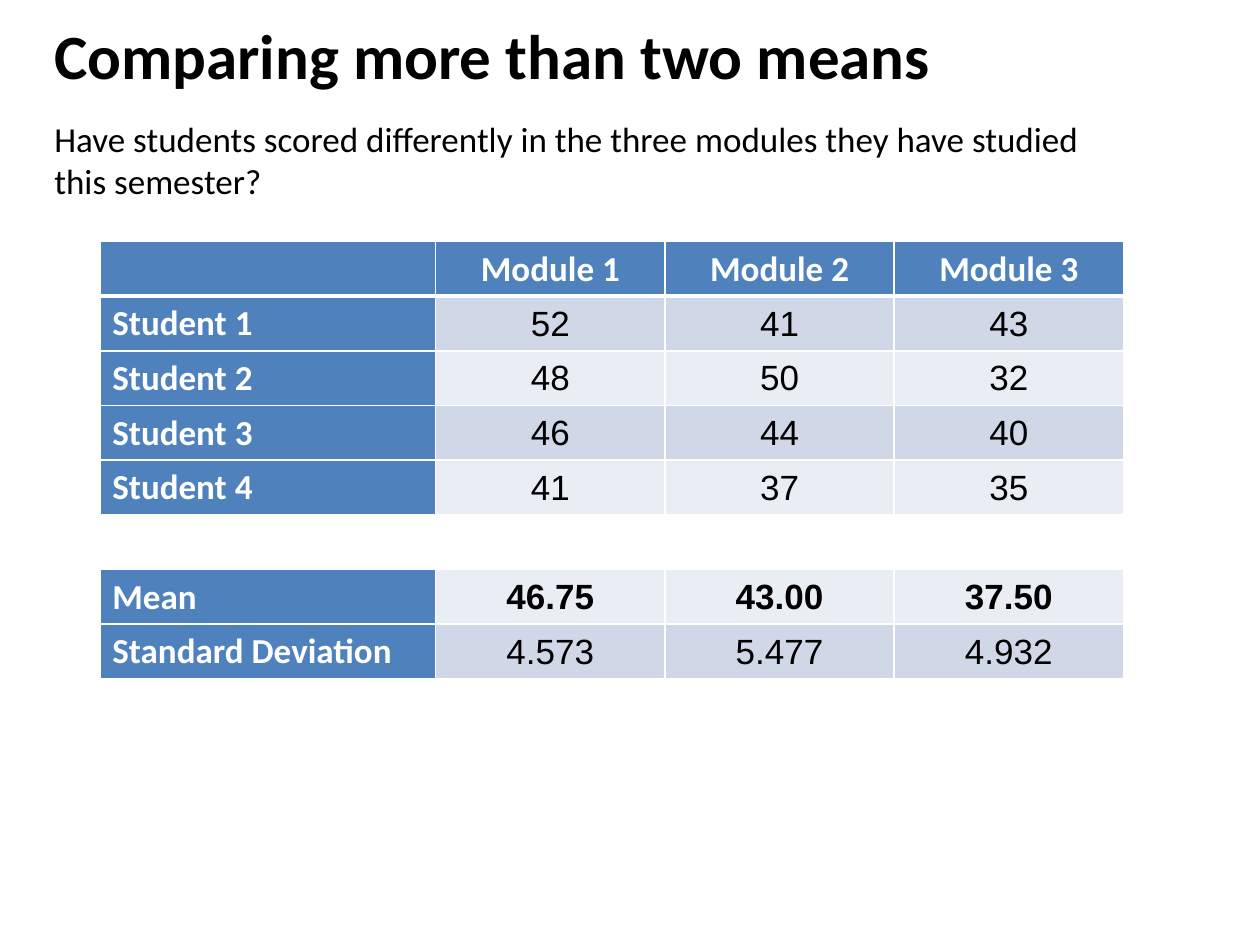
"""Build a slide comparing student marks across three modules."""
from lxml.etree import SubElement
from pptx import Presentation
from pptx.dml.color import RGBColor as RGB
from pptx.enum.text import MSO_ANCHOR as ANCHOR, PP_ALIGN as ALIGN
from pptx.oxml.ns import qn
from pptx.util import Pt

COLORS = {"text": "000000", "white": "FFFFFF", "head": "4F81BD",
          "dark": "D0D8E8", "light": "E9EDF4"}
ROWS = [
    ["", "Module 1", "Module 2", "Module 3"],
    ["Student 1", "52", "41", "43"],
    ["Student 2", "48", "50", "32"],
    ["Student 3", "46", "44", "40"],
    ["Student 4", "41", "37", "35"],
    ["", "", "", ""],
    ["Mean", "46.75", "43.00", "37.50"],
    ["Standard Deviation", "4.573", "5.477", "4.932"],
]
BLANK_ROW, MEAN_ROW = 5, 6


def style(p, size, name, color, bold):
    p.font.size = Pt(size)
    p.font.name = name
    p.font.bold = bold
    p.font.color.rgb = RGB.from_string(COLORS[color])


def add_border(cell, side, width):
    ln = SubElement(cell._tc.get_or_add_tcPr(), qn(f"a:ln{side}"), w=str(Pt(width)))
    fill = SubElement(ln, qn("a:solidFill"))
    SubElement(fill, qn("a:srgbClr"), val=COLORS["white"])


prs = Presentation()
prs.slide_width, prs.slide_height = Pt(720), Pt(540)
s = prs.slides.add_slide(prs.slide_layouts[6])

for text, top, width, height, size, bold in [
    ("Comparing more than two means", 6, 648, 90, 36, True),
    ("Have students scored differently in the three modules they have studied "
     "this semester?", 63.5, 621, 55.5, 20, False),
]:
    tf = s.shapes.add_textbox(Pt(24), Pt(top), Pt(width), Pt(height)).text_frame
    tf.word_wrap = True
    p = tf.paragraphs[0]
    p.text = text
    style(p, size, "Calibri", "text", bold)

table = s.shapes.add_table(len(ROWS), 4, Pt(57), Pt(138), Pt(585), Pt(249.6)).table
table.horz_banding = False
table.first_row = False
for c, width in enumerate([192, 131, 131, 131]):
    table.columns[c].width = Pt(width)

for r, row in enumerate(ROWS):
    table.rows[r].height = Pt(31.2)
    for c, text in enumerate(row):
        cell = table.cell(r, c)
        p = cell.text_frame.paragraphs[0]
        p.text = text
        is_head = r == 0 or c == 0
        if is_head:
            style(p, 20, "Calibri", "white", True)
        else:
            style(p, 20, "Arial", "text", r == MEAN_ROW)
            cell.vertical_anchor = ANCHOR.MIDDLE
            cell.margin_left = cell.margin_right = cell.margin_top = Pt(0.75)
            cell.margin_bottom = Pt(0)
        if c > 0:
            p.alignment = ALIGN.CENTER
        if r == BLANK_ROW:
            cell.fill.background()
            continue
        for side, border in [("L", 1), ("R", 1), ("T", 3 if r == 1 else 1),
                             ("B", 3 if r == 0 else 1)]:
            add_border(cell, side, border)
        cell.fill.solid()
        band = "head" if is_head else "dark" if r % 2 else "light"
        cell.fill.fore_color.rgb = RGB.from_string(COLORS[band])

prs.save("out.pptx")
